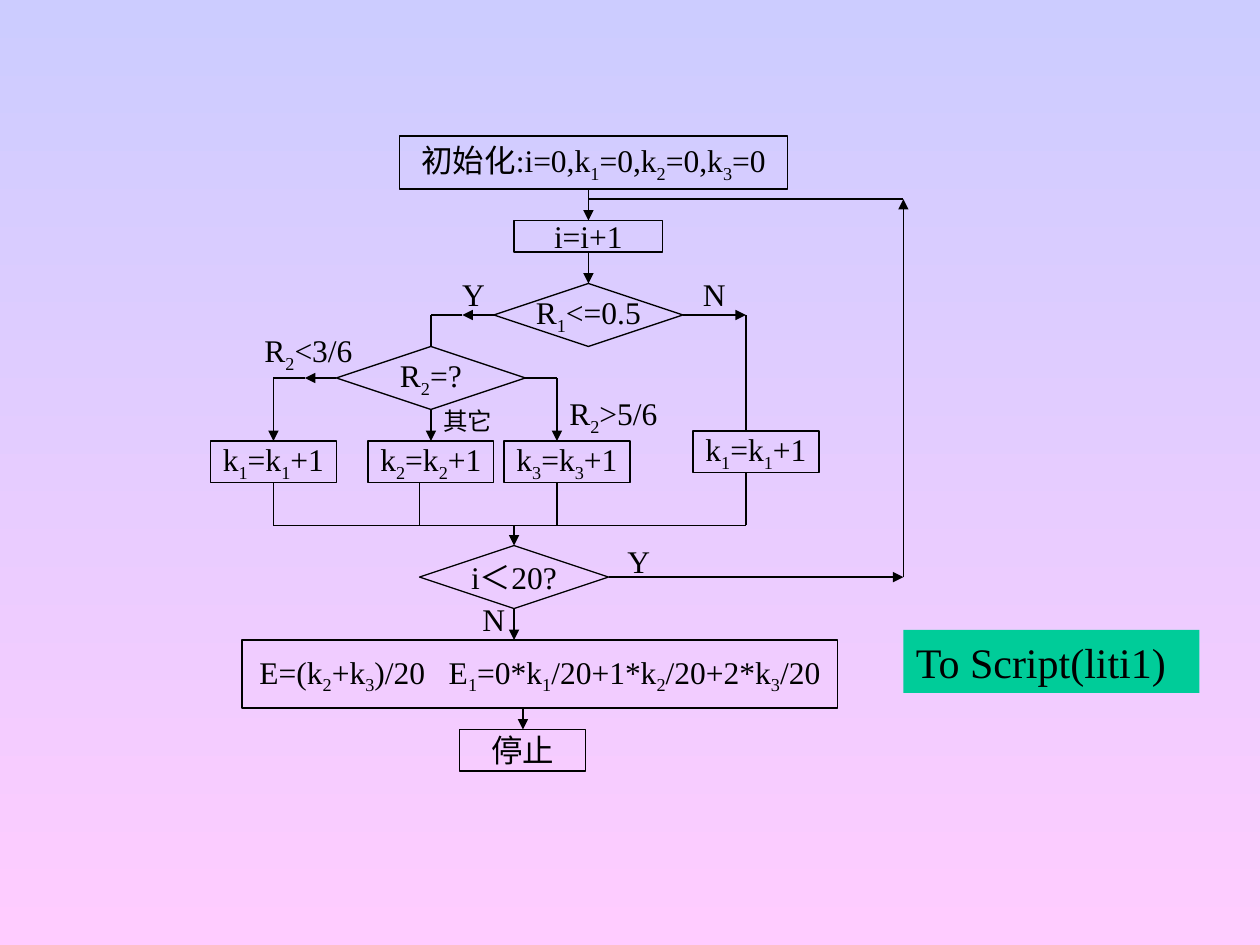
import lxml.etree
import pptx
import pptx.dml.color
import pptx.enum.shapes
import pptx.enum.text
import pptx.oxml.ns
import pptx.util

Inches = pptx.util.Inches
Shape = pptx.enum.shapes.MSO_SHAPE
BLACK = pptx.dml.color.RGBColor(0x00, 0x00, 0x00)
GREEN = pptx.dml.color.RGBColor(0x00, 0xCC, 0x99)
LAVENDER = pptx.dml.color.RGBColor(0xCC, 0xCC, 0xFF)
PINK = pptx.dml.color.RGBColor(0xFF, 0xCC, 0xFF)
FONT = "Times New Roman"
LINE_WIDTH = pptx.util.Pt(0.75)
DIAMOND_W, DIAMOND_H = 1.5, 0.5
STEP_W, STEP_H = 1, 0.33
TOP, LEFT, BOTTOM, RIGHT = range(4)


def write(box, text, size=18, centred=False, wrap=False):
    """Write one paragraph; the character after each underscore is a subscript."""
    frame = box.text_frame
    frame.word_wrap = wrap
    para = frame.paragraphs[0]
    para.alignment = pptx.enum.text.PP_ALIGN.CENTER if centred else pptx.enum.text.PP_ALIGN.LEFT
    head, *tails = text.split("_")
    para.add_run().text = head
    for tail in tails:
        span = para.add_run()
        span.text = tail[0]
        span._r.get_or_add_rPr().set("baseline", "-25000")
        if tail[1:]:
            para.add_run().text = tail[1:]
    para.font.name = FONT
    para.font.size = pptx.util.Pt(size)
    para.font.color.rgb = BLACK


def add_node(page, kind, left, top, width, height, text):
    """Add an outlined flowchart symbol with centred text."""
    node = page.shapes.add_shape(kind, Inches(left), Inches(top), Inches(width), Inches(height))
    node.shadow.inherit = False
    node.fill.background()
    node.line.color.rgb = BLACK
    node.line.width = LINE_WIDTH
    node.text_frame.vertical_anchor = pptx.enum.text.MSO_ANCHOR.MIDDLE
    write(node, text, centred=True)
    return node


def add_decision(page, left, top, text):
    """Add a decision diamond of the common size."""
    return add_node(page, Shape.FLOWCHART_DECISION, left, top, DIAMOND_W, DIAMOND_H, text)


def add_step(page, left, top, text):
    """Add a step rectangle of the common size."""
    return add_node(page, Shape.RECTANGLE, left, top, STEP_W, STEP_H, text)


def add_label(page, left, top, width, text, size=18):
    """Add a branch label."""
    box = page.shapes.add_textbox(Inches(left), Inches(top), Inches(width), Inches(0.4))
    write(box, text, size, wrap=True)


def add_link(page, start, end, arrow=False):
    """Draw a line between two ends, each an (x, y) point or a (shape, side) pair."""
    joined = [hasattr(target, "shape_id") for target, _ in (start, end)]
    points = [(0, 0) if is_shape else (Inches(place[0]), Inches(place[1]))
              for is_shape, place in zip(joined, (start, end))]
    link = page.shapes.add_connector(pptx.enum.shapes.MSO_CONNECTOR.STRAIGHT, *points[0], *points[1])
    if joined[0]:
        link.begin_connect(*start)
    if joined[1]:
        link.end_connect(*end)
    link.line.color.rgb = BLACK
    link.line.width = LINE_WIDTH
    if arrow:
        line = link.line._get_or_add_ln()
        lxml.etree.SubElement(line, pptx.oxml.ns.qn("a:tailEnd"), type="triangle")
    lxml.etree.SubElement(link._element.spPr, pptx.oxml.ns.qn("a:effectLst"))


def add_start(page, left, top):
    """Place the initialisation, the counter and the first decision."""
    axis = left + 1.5
    add_node(page, Shape.FLOWCHART_PROCESS, left, top, 3.08, 0.42, "初始化:i=0,k_1=0,k_2=0,k_3=0")
    counter = add_node(page, Shape.RECTANGLE, axis - 0.59, top + 0.67, 1.18, 0.25, "i=i+1")
    decision = add_decision(page, axis - DIAMOND_W / 2, top + 1.17, "R_1<=0.5")
    add_link(page, (axis, top + 0.42), (counter, TOP), True)
    add_link(page, (counter, BOTTOM), (decision, TOP), True)
    add_label(page, left + 0.4, top + 1.05, 0.38, "Y")
    add_label(page, left + 2.31, top + 1.05, 0.38, "N")
    return decision


def add_branches(page, left, top, first):
    """Place the second decision, the four counting steps and the line that gathers them."""
    bus, steps_top = top + 1.67, top + 1
    middle, third, fourth = left + 1.75, left + 2.75, left + 4.25
    second = add_decision(page, middle - DIAMOND_W / 2, top + 0.25, "R_2=?")
    steps = [add_step(page, left + x, steps_top, f"k_{i}=k_{i}+1")
             for i, x in enumerate((0, 1.25, 2.33), 1)]
    add_step(page, left + 3.83, top + 0.92, "k_1=k_1+1")

    add_link(page, (first, LEFT), (left + 2, top), True)
    add_link(page, (left + 2, top), (middle, top))
    add_link(page, (middle, top), (second, TOP))
    add_link(page, (first, RIGHT), (fourth, top), True)
    add_link(page, (fourth, top), (fourth, top + 0.92))

    add_link(page, (second, LEFT), (left + 0.75, top + 0.5), True)
    add_link(page, (left + 0.75, top + 0.5), (left + 0.5, top + 0.5))
    add_link(page, (left + 0.5, top + 0.5), (steps[0], TOP), True)
    add_link(page, (second, BOTTOM), (steps[1], TOP), True)
    add_link(page, (second, RIGHT), (third, top + 0.5))
    add_link(page, (third, top + 0.5), (third, steps_top), True)

    add_link(page, (steps[0], BOTTOM), (left + 0.5, bus))
    for x in (left + 1.66, third):
        add_link(page, (x, steps_top + STEP_H), (x, bus))
    add_link(page, (fourth, top + 1.25), (fourth, bus))
    add_link(page, (left + 0.5, bus), (fourth, bus))

    add_label(page, left + 0.33, top + 0.08, 1, "R_2<3/6")
    add_label(page, middle, top + 0.67, 0.92, "其它", 14)
    add_label(page, third, top + 0.58, 1.08, "R_2>5/6")


def add_finish(page, left, top):
    """Place the loop test with its return path, the results and the stop."""
    axis, loop_right, loop_top = left + 2.16, left + 5.25, top - 2.59
    test = add_decision(page, axis - DIAMOND_W / 2, top + 0.16, "i＜20?")
    add_node(page, Shape.RECTANGLE, left, top + 0.91, 4.73, 0.54,
             "E=(k_2+k_3)/20   E_1=0*k_1/20+1*k_2/20+2*k_3/20")
    stop = add_step(page, left + 1.73, top + 1.62, "停止")
    add_link(page, (axis, top), (test, TOP), True)
    add_link(page, (test, BOTTOM), (axis, top + 0.91), True)
    add_link(page, (left + 2.23, top + 1.45), (stop, TOP), True)
    add_link(page, (test, RIGHT), (loop_right, top + 0.41), True)
    add_link(page, (loop_right, top + 0.41), (loop_right, loop_top), True)
    add_link(page, (left + 2.75, loop_top), (loop_right, loop_top))
    add_label(page, left + 1.81, top + 0.54, 0.31, "N")
    add_label(page, left + 2.96, top + 0.08, 0.38, "Y")


def add_button(page, left, top, width, height):
    """Place the green box that leads to the program."""
    button = page.shapes.add_shape(Shape.RECTANGLE, Inches(left), Inches(top), Inches(width), Inches(height))
    button.shadow.inherit = False
    button.fill.solid()
    button.fill.fore_color.rgb = GREEN
    button.line.fill.background()
    button.text_frame.vertical_anchor = pptx.enum.text.MSO_ANCHOR.TOP
    write(button, "To Script(liti1)", 24)


def paint_background(page):
    """Fill the page with a gradient from lavender down to pink."""
    fill = page.background.fill
    fill.gradient()
    fill.gradient_angle = 270
    for stop, colour in zip(fill.gradient_stops, (LAVENDER, PINK)):
        stop.color.rgb = colour


def main():
    """Build the flowchart slide."""
    deck = pptx.Presentation()
    deck.slide_width, deck.slide_height = Inches(10), Inches(7.5)
    page = deck.slides.add_slide(deck.slide_layouts[6])
    paint_background(page)
    first = add_start(page, 3.17, 1.08)
    add_branches(page, 1.67, 2.5, first)
    add_finish(page, 1.92, 4.17)
    add_button(page, 7.17, 5, 2.35, 0.5)
    deck.save("out.pptx")


if __name__ == "__main__":
    main()
